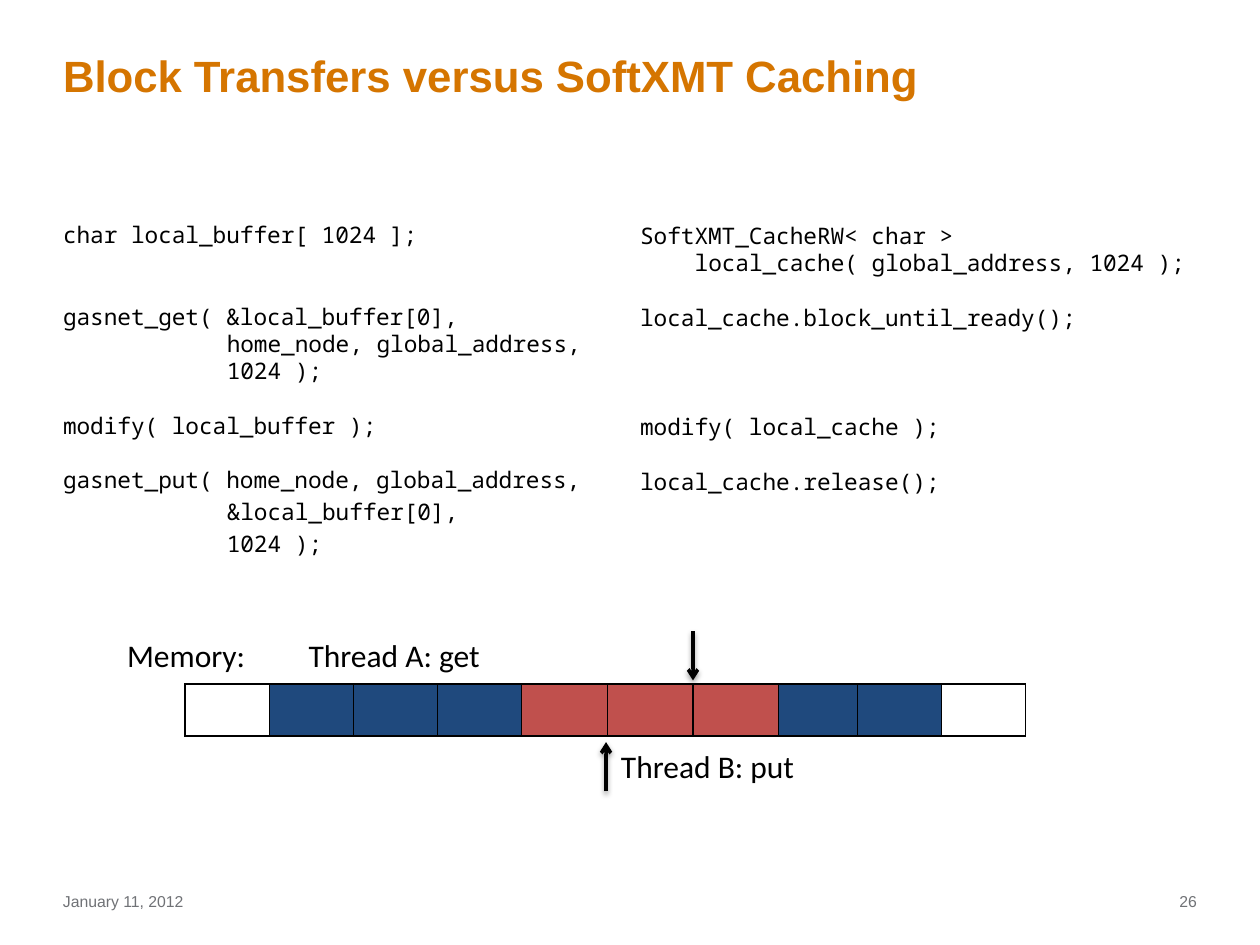
from dataclasses import dataclass

from lxml import etree
from pptx import Presentation
from pptx.dml.color import RGBColor
from pptx.enum.shapes import MSO_CONNECTOR
from pptx.enum.text import MSO_ANCHOR, MSO_AUTO_SIZE, PP_ALIGN
from pptx.oxml import parse_xml
from pptx.oxml.ns import nsdecls, qn
from pptx.util import Inches, Pt

STRAIGHT = MSO_CONNECTOR.STRAIGHT
TOP, MIDDLE = MSO_ANCHOR.TOP, MSO_ANCHOR.MIDDLE
LEFT, RIGHT = PP_ALIGN.LEFT, PP_ALIGN.RIGHT
NO_FIT = MSO_AUTO_SIZE.NONE


@dataclass(frozen=True)
class Theme:
    """Colours, fonts and type sizes of the slide."""
    orange: str = "D57500"
    grey: str = "707276"
    black: str = "000000"
    white: str = "FFFFFF"
    blue: str = "1F497D"
    red: str = "C0504D"
    sans: str = "Arial"
    label: str = "Calibri"
    mono: str = "Noto Sans Mono"
    title_size: float = 25
    code_size: float = 13
    label_size: float = 18
    footer_size: float = 9
    code_line: float = 15.6
    code_gap: float = 2.6
    char_width: float = 7.8


class SlideBuilder:
    """Adds styled elements to the current slide."""

    def __init__(self, slide, theme):
        self.slide, self.theme = slide, theme

    def place(self, sp, left, top, width, height):
        """Moves a shape to a position given in inches."""
        sp.left, sp.top = Inches(left), Inches(top)
        sp.width, sp.height = Inches(width), Inches(height)

    def frame(self, sp, anchor=TOP, margin_x=0, margin_y=0, wrap=True):
        """Sets margins, anchor and wrapping of a text frame."""
        tf = sp.text_frame
        tf.auto_size, tf.word_wrap, tf.vertical_anchor = NO_FIT, wrap, anchor
        tf.margin_left = tf.margin_right = Inches(margin_x)
        tf.margin_top = tf.margin_bottom = Inches(margin_y)
        return tf

    def run(self, p, text, font, size, color, bold=False):
        """Adds one styled run to a paragraph."""
        r = p.add_run()
        r.text = text
        r.font.name, r.font.size, r.font.bold = font, Pt(size), bold
        r.font.color.rgb = RGBColor.from_string(color)

    def title(self, text, *box):
        """Fills the title placeholder."""
        sp = self.slide.shapes.title
        self.place(sp, *box)
        p = self.frame(sp).paragraphs[0]
        p.alignment = LEFT
        self.run(p, text, self.theme.sans, self.theme.title_size, self.theme.orange, True)

    def code(self, idx, lines, *box):
        """Fills a body placeholder with (blank lines, extra gap, indent, text) lines."""
        t = self.theme
        sp = self.slide.placeholders[idx]
        self.place(sp, *box)
        tf = self.frame(sp)
        for i, (blanks, gap, indent, text) in enumerate(lines):
            p = tf.add_paragraph() if i else tf.paragraphs[0]
            p.line_spacing = Pt(t.code_line)
            p.space_before = Pt(blanks * t.code_line + gap)
            p.space_after = Pt(0)
            pPr = p._p.get_or_add_pPr()
            pPr.set("marL", str(Pt(indent * t.char_width)))
            pPr.set("indent", "0")
            etree.SubElement(pPr, qn("a:buNone"))
            self.run(p, text, t.mono, t.code_size, t.black)

    def footer(self, text, align, *box):
        """Adds a small grey footer text."""
        sp = self.slide.shapes.add_textbox(0, 0, 0, 0)
        self.place(sp, *box)
        p = self.frame(sp, MIDDLE).paragraphs[0]
        p.alignment = align
        self.run(p, text, self.theme.sans, self.theme.footer_size, self.theme.grey)

    def label(self, text, *box):
        """Adds an unwrapped label."""
        sp = self.slide.shapes.add_textbox(0, 0, 0, 0)
        self.place(sp, *box)
        p = self.frame(sp, TOP, 0.1, 0.05, False).paragraphs[0]
        self.run(p, text, self.theme.label, self.theme.label_size, self.theme.black)

    def cells(self, fills, left, top, width, height):
        """Adds a one-row table of filled, bordered cells."""
        gf = self.slide.shapes.add_table(
            1, len(fills), Inches(left), Inches(top), Inches(width), Inches(height))
        table = gf.table
        table.first_row = table.horz_banding = False
        for i, color in enumerate(fills):
            table.columns[i].width = Inches(width / len(fills))
            cell = table.cell(0, i)
            tcPr = cell._tc.get_or_add_tcPr()
            for side in ("lnL", "lnR", "lnT", "lnB"):
                tcPr.append(parse_xml(
                    f'<a:{side} {nsdecls("a")} w="{Pt(1)}"><a:solidFill>'
                    f'<a:srgbClr val="{self.theme.black}"/></a:solidFill></a:{side}>'))
            cell.fill.solid()
            cell.fill.fore_color.rgb = RGBColor.from_string(color)

    def arrow(self, x, start, end):
        """Adds a vertical arrow with a soft shadow."""
        line = self.slide.shapes.add_connector(
            STRAIGHT, Inches(x), Inches(start), Inches(x), Inches(end))
        line.line.width = Pt(2)
        line.line.color.rgb = RGBColor.from_string(self.theme.black)
        etree.SubElement(line.line._get_or_add_ln(), qn("a:tailEnd"), type="arrow")
        line._element.spPr.append(parse_xml(
            f'<a:effectLst {nsdecls("a")}><a:outerShdw blurRad="{Pt(3.1)}" '
            f'dist="{Pt(1.6)}" dir="5400000" rotWithShape="0">'
            f'<a:srgbClr val="{self.theme.black}"><a:alpha val="38000"/></a:srgbClr>'
            '</a:outerShdw></a:effectLst>'))


def main():
    """Builds and saves the slide."""
    theme = Theme()
    gap = theme.code_gap
    prs = Presentation()
    prs.slide_width, prs.slide_height = Inches(10), Inches(7.5)
    s = SlideBuilder(prs.slides.add_slide(prs.slide_layouts[3]), theme)

    s.title("Block Transfers versus SoftXMT Caching", 0.5, 0.39, 7.25, 0.42)
    s.code(1, [
        (0, gap, 0, "char local_buffer[ 1024 ];"),
        (2, 0, 0, "gasnet_get( &local_buffer[0],"),
        (0, 0, 12, "home_node, global_address,"),
        (0, 0, 12, "1024 );"),
        (1, 0, 0, "modify( local_buffer );"),
        (1, 0, 0, "gasnet_put( home_node, global_address,"),
        (0, gap, 12, "&local_buffer[0],"),
        (0, gap, 12, "1024 );"),
    ], 0.5, 1.75, 4.42, 2.92)
    s.code(2, [
        (0, gap, 0, "SoftXMT_CacheRW< char >"),
        (0, 0, 4, "local_cache( global_address, 1024 );"),
        (1, 0, 0, "local_cache.block_until_ready();"),
        (3, 0, 0, "modify( local_cache );"),
        (1, 0, 0, "local_cache.release();"),
    ], 5.08, 1.76, 4.42, 2.88)

    s.footer("January 11, 2012", LEFT, 0.5, 6.95, 2.33, 0.4)
    s.footer("26", RIGHT, 7.17, 6.95, 2.33, 0.4)

    s.cells([theme.white] + [theme.blue] * 8 + [theme.white], 1.47, 5.43, 6.67, 0.41)
    s.cells([theme.red] * 3, 4.14, 5.43, 2.04, 0.41)

    s.label("Memory:", 0.91, 5, 1.15, 0.4)
    s.arrow(5.5, 5.01, 5.4)
    s.label("Thread A: get", 2.35, 5, 1.58, 0.4)
    s.arrow(4.81, 6.28, 5.89)
    s.label("Thread B: put", 4.83, 5.88, 1.59, 0.4)

    prs.save("out.pptx")


if __name__ == "__main__":
    main()
